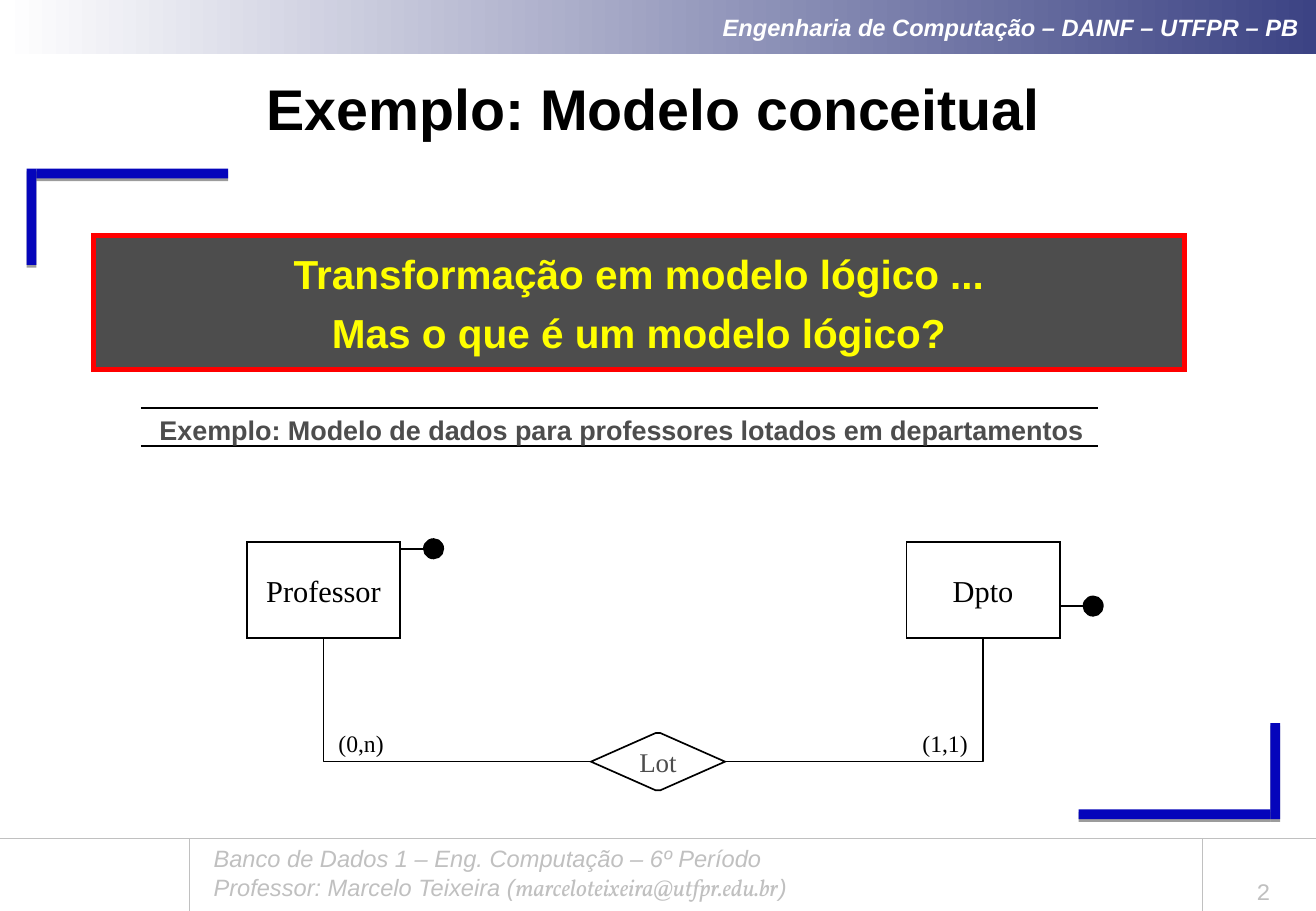
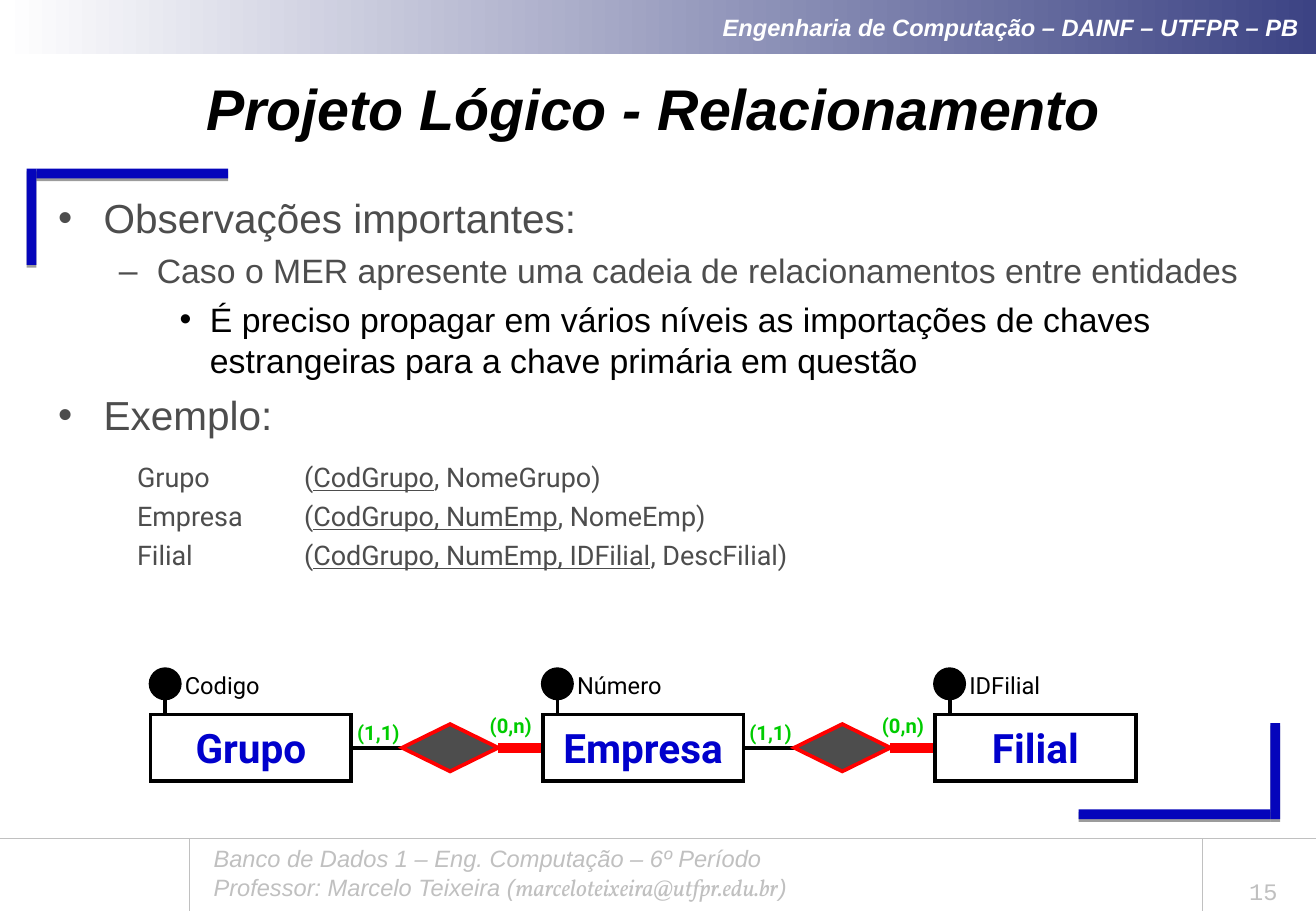
from lxml import etree
from pptx import Presentation
from pptx.dml.color import RGBColor
from pptx.enum.shapes import MSO_CONNECTOR, MSO_SHAPE
from pptx.enum.text import MSO_ANCHOR, PP_ALIGN
from pptx.oxml.ns import qn
from pptx.util import Pt

RECT, OVAL = MSO_SHAPE.RECTANGLE, MSO_SHAPE.OVAL
RHOMB, HEX = MSO_SHAPE.DIAMOND, MSO_SHAPE.HEXAGON
STRAIGHT, ELBOW = MSO_CONNECTOR.STRAIGHT, MSO_CONNECTOR.ELBOW
TOP, MID, LOW = MSO_ANCHOR.TOP, MSO_ANCHOR.MIDDLE, MSO_ANCHOR.BOTTOM
LEFT, MIDST, RIGHT = PP_ALIGN.LEFT, PP_ALIGN.CENTER, PP_ALIGN.RIGHT

WHITE = RGBColor(0xFF, 0xFF, 0xFF)
BLACK = RGBColor(0, 0, 0)
NAVY = RGBColor(0x3C, 0x43, 0x84)
BLUE = RGBColor(0x05, 0x05, 0xBB)
INK = RGBColor(0, 0, 0xCC)
PALE = RGBColor(0xC0, 0xC0, 0xC0)
GREY = RGBColor(0x4D, 0x4D, 0x4D)
RED = RGBColor(0xFF, 0, 0)
GOLD = RGBColor(0xFF, 0xFF, 0)
GREEN = RGBColor(0, 0xCC, 0)

SANS, SERIF, ROBOT = "Arial", "Times New Roman", "Roboto"
MONO, MAIL = "Courier New", "Vollkorn"
WIDE, HIGH = 780.13, 540
SLIM, ROOMY = (3, 3, 3, 3), (7.2, 3.6, 7.2, 3.6)


def node(base, tag, **attrs):
    """Append an XML child with the given attributes."""
    child = etree.SubElement(base, qn(tag))
    for key, value in attrs.items():
        child.set(key, str(value))
    return child


def ink(run, size, font, color, bold=False, slant=False, under=False):
    """Style one run."""
    face = run.font
    face.size, face.name = Pt(size), font
    face.bold, face.italic, face.underline = bold, slant, under
    face.color.rgb = color


def put(shape, rows, size, font, color, align=MIDST, anchor=MID, gap=0,
        pad=SLIM, wrap=False, tab=None, **style):
    """Write rows of runs; a run is a text and its own style changes."""
    frame = shape.text_frame
    frame.word_wrap, frame.vertical_anchor = wrap, anchor
    (frame.margin_left, frame.margin_top,
     frame.margin_right, frame.margin_bottom) = map(Pt, pad)
    for i, row in enumerate(rows):
        para = frame.add_paragraph() if i else frame.paragraphs[0]
        para.alignment = align
        if tab:
            props = para._p.get_or_add_pPr()
            props.set("marL", str(Pt(27)))
            props.set("indent", str(Pt(-27)))
            props.set("defTabSz", str(Pt(tab)))
            node(node(props, "a:tabLst"), "a:tab", pos=Pt(tab), algn="l")
        if i and gap:
            para.space_before = Pt(gap)
        for text, change in row:
            run = para.add_run()
            run.text = text
            ink(run, **{"size": size, "font": font, "color": color,
                        **style, **change})


def block(slide, kind, x, y, w, h, fill, line=None, thick=1):
    """Add a preset shape."""
    shape = slide.shapes.add_shape(kind, Pt(x), Pt(y), Pt(w), Pt(h))
    shape.shadow.inherit = False
    shape.fill.solid()
    shape.fill.fore_color.rgb = fill
    if line is None:
        shape.line.fill.background()
    else:
        shape.line.color.rgb = line
        shape.line.width = Pt(thick)
        node(shape._element.spPr.find(qn("a:ln")), "a:miter", lim=800000)
    return shape


def label(slide, x, y, w, h, rows, *args, **style):
    """Add a text box."""
    if isinstance(rows, str):
        rows = [[(rows, {})]]
    box = slide.shapes.add_textbox(Pt(x), Pt(y), Pt(w), Pt(h))
    put(box, rows, *args, **style)


def rule(slide, x1, y1, x2, y2, color=BLACK, thick=1, kind=STRAIGHT):
    """Add a line."""
    line = slide.shapes.add_connector(kind, Pt(x1), Pt(y1), Pt(x2), Pt(y2))
    line.line.color.rgb = color
    line.line.width = Pt(thick)
    node(line._element.spPr, "a:effectLst")
    return line


def link(slide, start, end, color, thick):
    """Join the right side of one shape to the left side of the next."""
    line = rule(slide, 0, 0, 0, 0, color, thick)
    line.begin_connect(start, 3)
    line.end_connect(end, 1)
    slide.shapes._spTree.insert(2, line._element)


def corner(slide, x, y, far):
    """Draw a bracket in its box, at the top left or the bottom right."""
    w, h, bar = 119.5, 57, 5.8
    flat = (x, y + h - bar, w - bar, bar) if far else (x + bar, y, w - bar, bar)
    tall = (x + w - bar if far else x, y, bar, h)
    for place in (flat, tall):
        part = block(slide, RECT, *place, BLUE)
        effect = part._element.spPr.find(qn("a:effectLst"))
        cast = node(effect, "a:outerShdw", blurRad=0, dist=Pt(1.6),
                    dir=5400000, rotWithShape=0)
        node(node(cast, "a:srgbClr", val="000000"), "a:alpha", val=38000)


def header(slide):
    """Draw the shaded band on top."""
    band = block(slide, RECT, 1.2, 0, WIDE - 1.2, 32, WHITE)
    band.fill.gradient()
    band.fill.gradient_angle = 0
    for stop, color, pos in zip(band.fill.gradient_stops, (WHITE, NAVY), (0, 1)):
        stop.color.rgb = color
        stop.position = pos
    put(band, [[("Engenharia de Computação – DAINF – UTFPR – PB", {})]],
        14, SANS, WHITE, align=RIGHT, pad=(7.2, 3.6, 10, 3.6), wrap=True,
        bold=True, slant=True)


def footer(slide, number):
    """Draw the course lines and the page number."""
    y = 496.8
    for x in (112.3, 712.8):
        rule(slide, x, y, x, HIGH, PALE, 0.75)
    rule(slide, 0, y, WIDE, y, PALE, 0.25)
    label(slide, 119.5, y, 543, 41,
          [[("Banco de Dados 1 – Eng. Computação – 6º Período", {})],
           [("Professor: Marcelo Teixeira (", {}),
            ("marceloteixeira@utfpr.edu.br", {"font": MAIL}), (")", {})]],
          14, SANS, PALE, align=LEFT, anchor=TOP, pad=ROOMY, wrap=True,
          slant=True)
    label(slide, 717.8, 512, 62.3, 28, number, 14, MONO, PALE, anchor=LOW,
          pad=ROOMY, wrap=True)


def page(deck, title, number, slant=False):
    """Start a slide with the shared parts."""
    slide = deck.slides.add_slide(deck.slide_layouts[6])
    header(slide)
    corner(slide, 639.4, 428.6, True)
    corner(slide, 15.8, 100, False)
    footer(slide, number)
    label(slide, 15.8, 39, 743, 50, title, 34, SANS, BLACK, pad=ROOMY,
          wrap=True, bold=True, slant=slant)
    return slide


def banner(slide, x, y, w, h):
    """Draw the framed question."""
    box = block(slide, RECT, x, y, w, h, GREY, RED, 3)
    put(box, [[("Transformação em modelo lógico ...", {})],
              [("Mas o que é um modelo lógico?", {})]],
        24, SANS, GOLD, gap=6, bold=True)


def caption(slide, x, y, w, h):
    """Draw the example heading between two rules."""
    for level in (y, y + h):
        rule(slide, x, level, x + w, level)
    label(slide, x - 18.7, y, w + 40, 25,
          "Exemplo: Modelo de dados para professores lotados em departamentos",
          16, SANS, GREY, anchor=TOP, bold=True)


def entity(slide, x, y, name, drop):
    """Draw an entity with a key dot at its right side."""
    w, h, dot = 91, 57, 11.5
    box = block(slide, RECT, x, y, w, h, WHITE, BLACK)
    put(box, [[(name, {})]], 18, SERIF, BLACK)
    rule(slide, x + w, y + drop, x + w + 14, y + drop)
    block(slide, OVAL, x + w + 14, y + drop - dot / 2, dot, dot, BLACK, BLACK)
    return box


def model(slide, x, y):
    """Draw two entities and the relation between them."""
    first = entity(slide, x, y, "Professor", 4)
    last = entity(slide, x + 391, y, "Dpto", 38)
    w, h = 79.5, 34
    left, mid = x + 204, y + 130.2
    tie = block(slide, HEX, left, mid - h / 2, w, h, WHITE, BLACK)
    tie.adjustments[0] = 1.13
    put(tie, [[("Lot", {})]], 16, SERIF, GREY)
    for start, box in ((left, first), (left + w, last)):
        line = rule(slide, start, mid, start, mid, kind=ELBOW)
        line.end_connect(box, 2)
        shape = line._element.spPr.find(qn("a:prstGeom"))
        shape.set("prst", "bentConnector2")
    for shift, text in ((28, "(0,n)"), (374.2, "(1,1)")):
        label(slide, x + shift, mid - 28, w, h, text, 14, SERIF, BLACK)


def points(slide, x, y, w, h):
    """Write the bulleted list."""
    rows = (
        (0, "Observações importantes:"),
        (1, "Caso o MER apresente uma cadeia de relacionamentos entre entidades"),
        (2, "É preciso propagar em vários níveis as importações de chaves "
            "estrangeiras para a chave primária em questão"),
        (0, "Exemplo:"))
    looks = ((27, 27, 24, 6, "•", GREY), (58.5, 22.5, 20, 5, "–", GREY),
             (90, 18, 20, 5, "•", BLACK))
    frame = slide.shapes.add_textbox(Pt(x), Pt(y), Pt(w), Pt(h)).text_frame
    frame.word_wrap = True
    for i, (level, text) in enumerate(rows):
        edge, hang, size, gap, mark, color = looks[level]
        para = frame.add_paragraph() if i else frame.paragraphs[0]
        para.level = level
        props = para._p.get_or_add_pPr()
        props.set("marL", str(Pt(edge)))
        props.set("indent", str(Pt(-hang)))
        node(node(props, "a:buClr"), "a:srgbClr", val=color)
        node(props, "a:buFont", typeface=SANS)
        node(props, "a:buChar", char=mark)
        if i:
            para.space_before = Pt(gap)
        run = para.add_run()
        run.text = text
        ink(run, size, SANS, color)


def schema(slide, x, y, w, h):
    """List the relations with their keys underlined."""
    rows = (("Grupo", "CodGrupo", "NomeGrupo"),
            ("Empresa", "CodGrupo, NumEmp", "NomeEmp"),
            ("Filial", "CodGrupo, NumEmp, IDFilial", "DescFilial"))
    label(slide, x, y, w, h,
          [[(f"{name}\t(", {}), (key, {"under": True}), (f", {rest})", {})]
           for name, key, rest in rows],
          16, ROBOT, GREY, align=LEFT, anchor=TOP, gap=4, wrap=True, tab=72)


def chain(slide, x, y):
    """Draw the row of entities and the relations that join them."""
    w, h, step, dot = 119, 39.5, 232.5, 17.3
    names = (("Grupo", "Codigo"), ("Empresa", "Número"), ("Filial", "IDFilial"))
    boxes = []
    for i, (name, key) in enumerate(names):
        left = x + i * step
        stem = left + dot / 2
        rule(slide, stem, y - 11, stem, y, BLACK, 2.25)
        block(slide, OVAL, left, y - 26.8, dot, dot, BLACK, BLACK, 2.25)
        label(slide, left + dot, y - 28.8, 113, 22.5, key, 14, ROBOT, BLACK,
              align=LEFT, anchor=TOP, wrap=True)
        box = block(slide, RECT, left, y, w, h, WHITE, BLACK, 2.25)
        put(box, [[(name, {})]], 24, ROBOT, INK, bold=True)
        boxes.append(box)
    for i, (start, end) in enumerate(zip(boxes, boxes[1:])):
        left = x + i * step
        tie = block(slide, RHOMB, left + 149, y + h / 2 - 14, 57, 28,
                    GREY, RED, 2.25)
        link(slide, start, tie, BLACK, 2.25)
        link(slide, tie, end, RED, 6)
        for shift, rise, text in ((92, 0.7, "(1,1)"), (170.5, -3.5, "(0,n)")):
            label(slide, left + shift, y + rise, 86, 20, text, 12, ROBOT,
                  GREEN, anchor=TOP, bold=True)


def main():
    """Build the deck."""
    deck = Presentation()
    deck.slide_width, deck.slide_height = Pt(WIDE), Pt(HIGH)
    slide = page(deck, "Exemplo: Modelo conceitual", "2")
    caption(slide, 83.5, 242, 567.5, 22.3)
    model(slide, 146.3, 321.3)
    banner(slide, 55.5, 139.7, 646.5, 79.5)
    slide = page(deck, "Projeto Lógico - Relacionamento", "15", slant=True)
    points(slide, 27.4, 111, 720, 363)
    chain(slide, 89.3, 423.5)
    schema(slide, 78.3, 270, 476, 71)
    deck.save("out.pptx")


if __name__ == "__main__":
    main()
